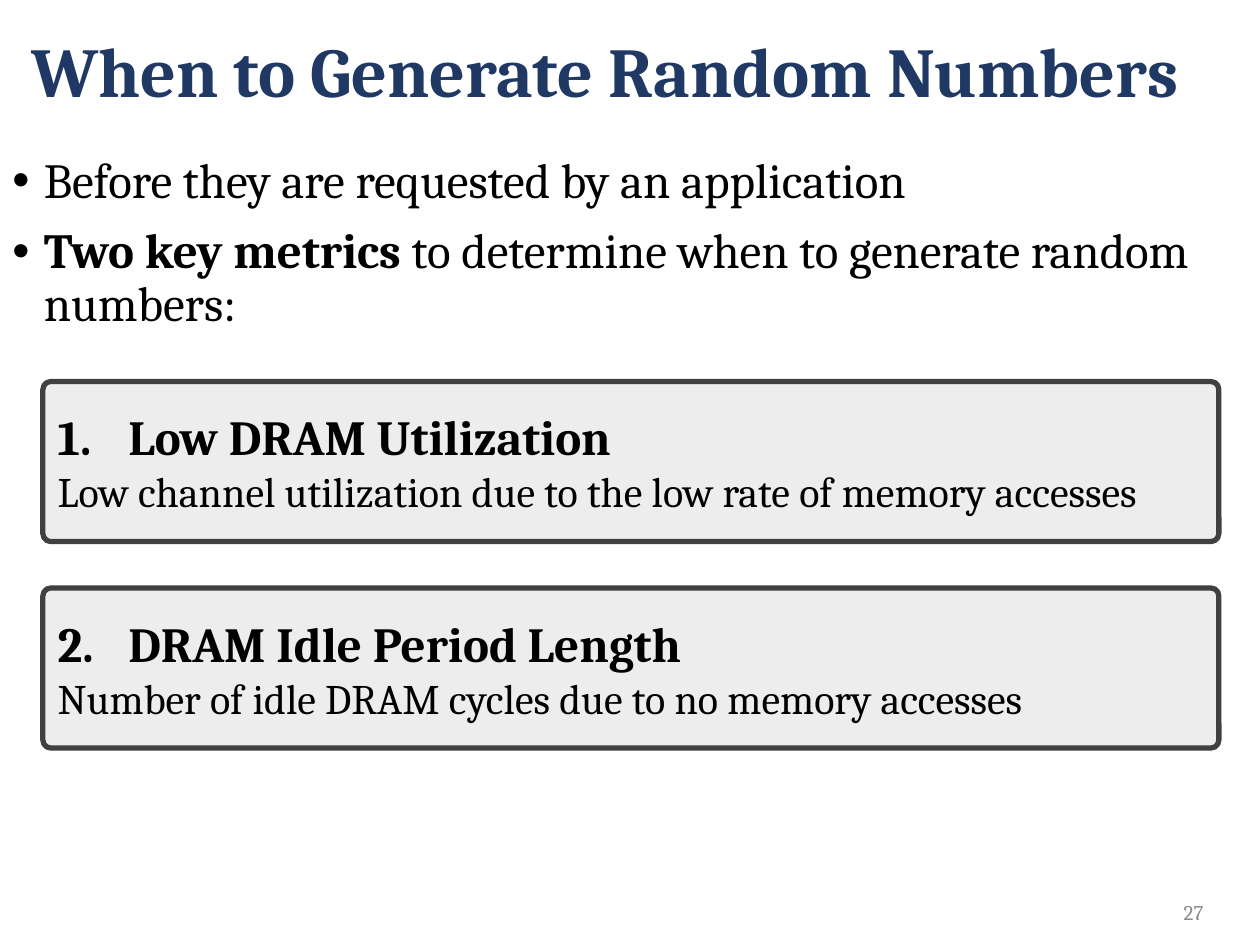
import lxml.etree
import pptx
import pptx.dml.color
import pptx.enum.shapes
import pptx.enum.text
import pptx.oxml.ns
import pptx.util

Pt = pptx.util.Pt
Align = pptx.enum.text.PP_ALIGN
Anchor = pptx.enum.text.MSO_ANCHOR
COLORS = {"title": "203864", "text": "000000", "page": "8C8C8C",
          "card": "EDEDED", "edge": "404040"}


def rgb(name):
    return pptx.dml.color.RGBColor.from_string(COLORS[name])


class Deck:
    """Holds the style and the current slide."""
    face = "Cambria"

    def __init__(self, slide):
        self.slide = slide

    def style(self, para, size, color="text", bold=False):
        font = para.font
        font.name, font.size, font.bold = self.face, Pt(size), bold
        font.color.rgb = rgb(color)

    def mark(self, para, indent, tag, **attrs):
        """Give a paragraph a hanging bullet or number."""
        props = para._p.get_or_add_pPr()
        props.set("marL", str(Pt(indent)))
        props.set("indent", str(Pt(-indent)))
        for name, values in (("buFont", {"typeface": "Arial" if tag == "buChar" else "+mj-lt"}),
                             (tag, attrs)):
            lxml.etree.SubElement(props, pptx.oxml.ns.qn("a:" + name), values)

    def box(self, left, top, width, height, anchor=Anchor.MIDDLE):
        shape = self.slide.shapes.add_textbox(Pt(left), Pt(top), Pt(width), Pt(height))
        frame = shape.text_frame
        frame.word_wrap = True
        frame.vertical_anchor = anchor
        return frame

    def label(self, text, place, size, color, bold=False, align=Align.LEFT, space=1.0):
        para = self.box(*place).paragraphs[0]
        para.text, para.alignment, para.line_spacing = text, align, space
        self.style(para, size, color, bold)

    def points(self, items, place):
        """Draw bullets; each item is a list of (text, bold) runs."""
        frame = self.box(*place, anchor=Anchor.TOP)
        for i, runs in enumerate(items):
            para = frame.add_paragraph() if i else frame.paragraphs[0]
            para.line_spacing = 0.9
            para.space_before = Pt(10 if i else 0)
            self.mark(para, 18, "buChar", char="•")
            self.style(para, 28)
            for text, bold in runs:
                run = para.add_run()
                run.text, run.font.bold = text, bold

    def card(self, number, head, note, place):
        shape = self.slide.shapes.add_shape(
            pptx.enum.shapes.MSO_SHAPE.ROUNDED_RECTANGLE, *map(Pt, place))
        shape.adjustments[0] = 0.05
        shape.shadow.inherit = False
        shape.fill.solid()
        shape.fill.fore_color.rgb = rgb("card")
        shape.line.color.rgb = rgb("edge")
        shape.line.width = Pt(3)
        frame = shape.text_frame
        frame.word_wrap = True
        frame.vertical_anchor = Anchor.MIDDLE
        first, second = frame.paragraphs[0], frame.add_paragraph()
        first.text, second.text = head, note
        first.alignment = second.alignment = Align.LEFT
        self.mark(first, 40.5, "buAutoNum", type="arabicPeriod", startAt=str(number))
        self.style(first, 28, bold=True)
        self.style(second, 24)


def main():
    show = pptx.Presentation()
    show.slide_width, show.slide_height = Pt(720), Pt(540)
    deck = Deck(show.slides.add_slide(show.slide_layouts[6]))

    deck.label("When to Generate Random Numbers", (10.8, 0, 700.6, 85.7),
               40, "title", bold=True, space=0.9)
    deck.points([
        [("Before they are requested by an application", False)],
        [("Two key metrics ", True),
         ("to determine when to generate random numbers:", False)],
    ], (0, 85.7, 720, 400))

    cards = [
        ("Low DRAM Utilization",
         "Low channel utilization due to the low rate of memory accesses"),
        ("DRAM Idle Period Length",
         "Number of idle DRAM cycles due to no memory accesses"),
    ]
    for i, (head, note) in enumerate(cards):
        deck.card(i + 1, head, note, (24.5, 218 + 118 * i, 672, 91.5))

    deck.label("27", (661, 513.4, 33.8, 15.8), 12, "page", align=Align.RIGHT)
    show.save("out.pptx")


if __name__ == "__main__":
    main()
